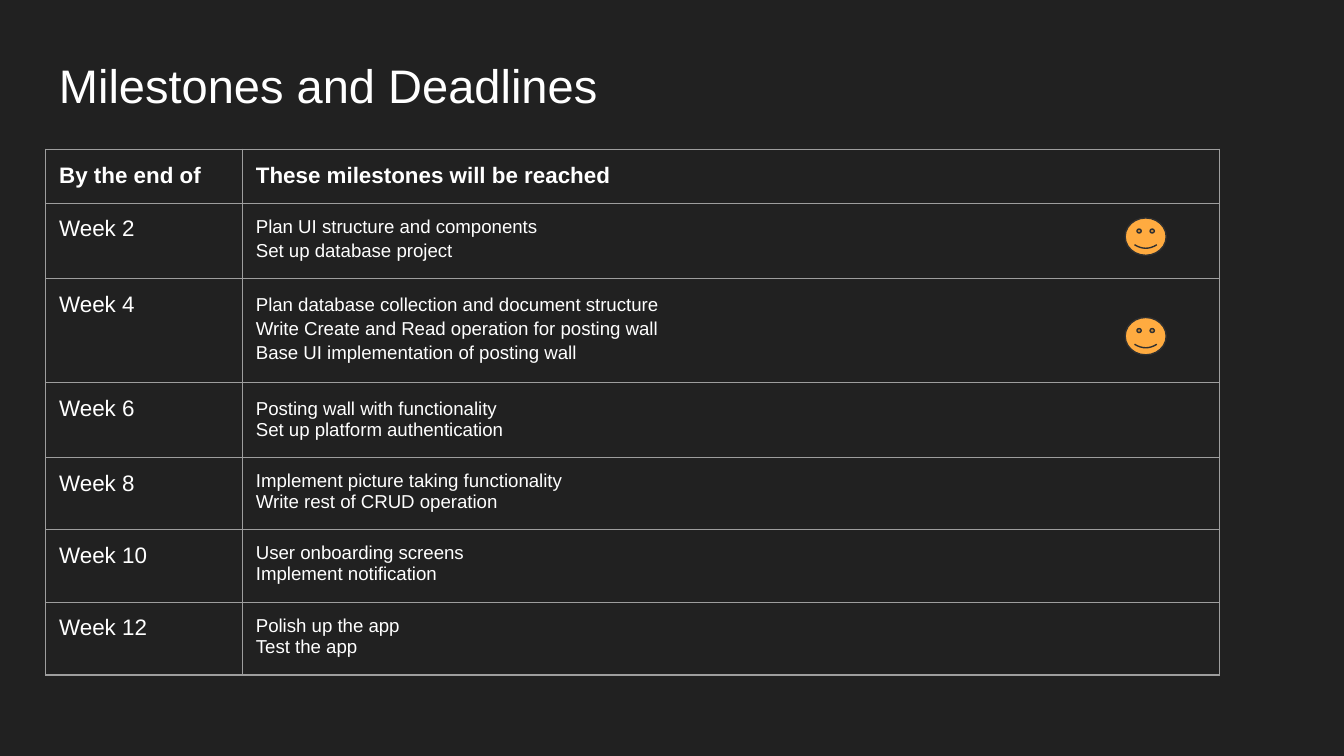
from dataclasses import dataclass

from lxml.etree import SubElement
from pptx import Presentation
from pptx.dml.color import RGBColor as RGB
from pptx.enum.shapes import MSO_SHAPE as Shape
from pptx.oxml.ns import qn
from pptx.util import Pt


@dataclass(frozen=True)
class Theme:
    font: str = "Arial"
    background: str = "212121"
    text: str = "FFFFFF"
    border: str = "9E9E9E"
    smiley: str = "FFAB40"
    smiley_line: str = "303030"
    title_size: float = 25.2
    label_size: float = 12
    body_size: float = 10
    line_width: float = 0.75
    inset: float = 7.2


@dataclass(frozen=True)
class Line:
    text: str
    spacing: float = 1.0


@dataclass(frozen=True)
class Row:
    label: str
    lines: tuple[Line, ...]
    height: float
    header: bool = False


THEME = Theme()
LOOSE = 1.15
COLUMNS = (105.4, 523.4)
SMILEY_TOPS = (116.8, 170.1)
ROWS = (
    Row("By the end of", (Line("These milestones will be reached"),), 26, True),
    Row("Week 2", (Line("Plan UI structure and components"),
                   Line("Set up database project", LOOSE)), 38.6),
    Row("Week 4", (Line("Plan database collection and document structure", LOOSE),
                   Line("Write Create and Read operation for posting wall", LOOSE),
                   Line("Base UI implementation of posting wall", LOOSE)), 53),
    Row("Week 6", (Line("Posting wall with functionality", LOOSE),
                   Line("Set up platform authentication")), 39),
    Row("Week 8", (Line("Implement picture taking functionality"),
                   Line("Write rest of CRUD operation")), 36.5),
    Row("Week 10", (Line("User onboarding screens"),
                    Line("Implement notification")), 39),
    Row("Week 12", (Line("Polish up the app"), Line("Test the app")), 39),
)


def write(tf, lines: tuple[Line, ...], size: float, bold: bool = False) -> None:
    tf.word_wrap = True
    for i, line in enumerate(lines):
        p = tf.add_paragraph() if i else tf.paragraphs[0]
        p.line_spacing = line.spacing
        r = p.add_run()
        r.text = line.text
        r.font.name = THEME.font
        r.font.size = Pt(size)
        r.font.bold = bold
        r.font.color.rgb = RGB.from_string(THEME.text)


def set_insets(box) -> None:
    box.margin_left = box.margin_right = Pt(THEME.inset)
    box.margin_top = box.margin_bottom = Pt(THEME.inset)


def style_cell(cell) -> None:
    set_insets(cell)
    props = cell._tc.get_or_add_tcPr()
    for side in ("lnL", "lnR", "lnT", "lnB"):
        ln = SubElement(props, qn(f"a:{side}"), w=str(Pt(THEME.line_width)))
        fill = SubElement(ln, qn("a:solidFill"))
        SubElement(fill, qn("a:srgbClr"), val=THEME.border)
    cell.fill.background()


def add_title(s) -> None:
    tf = s.shapes.add_textbox(Pt(24.5), Pt(23), Pt(671), Pt(45.4)).text_frame
    set_insets(tf)
    write(tf, (Line("Milestones and Deadlines"),), THEME.title_size)


def add_milestones(s) -> None:
    height = sum(row.height for row in ROWS)
    table = s.shapes.add_table(len(ROWS), len(COLUMNS), Pt(24.5), Pt(80),
                               Pt(sum(COLUMNS)), Pt(height)).table
    table.first_row = table.horz_banding = False
    for column, width in zip(table.columns, COLUMNS):
        column.width = Pt(width)
    for i, row in enumerate(ROWS):
        table.rows[i].height = Pt(row.height)
        label, body = table.cell(i, 0), table.cell(i, 1)
        style_cell(label)
        style_cell(body)
        write(label.text_frame, (Line(row.label),), THEME.label_size, row.header)
        body_size = THEME.label_size if row.header else THEME.body_size
        write(body.text_frame, row.lines, body_size, row.header)


def add_smiley(s, top: float) -> None:
    sp = s.shapes.add_shape(Shape.SMILEY_FACE, Pt(602.8), Pt(top), Pt(22), Pt(20))
    sp.shadow.inherit = False
    sp.fill.solid()
    sp.fill.fore_color.rgb = RGB.from_string(THEME.smiley)
    sp.line.color.rgb = RGB.from_string(THEME.smiley_line)
    sp.line.width = Pt(THEME.line_width)


def main() -> None:
    prs = Presentation()
    prs.slide_width, prs.slide_height = Pt(720), Pt(405)
    s = prs.slides.add_slide(prs.slide_layouts[6])
    s.background.fill.solid()
    s.background.fill.fore_color.rgb = RGB.from_string(THEME.background)
    add_title(s)
    add_milestones(s)
    for top in SMILEY_TOPS:
        add_smiley(s, top)
    prs.save("out.pptx")


main()
